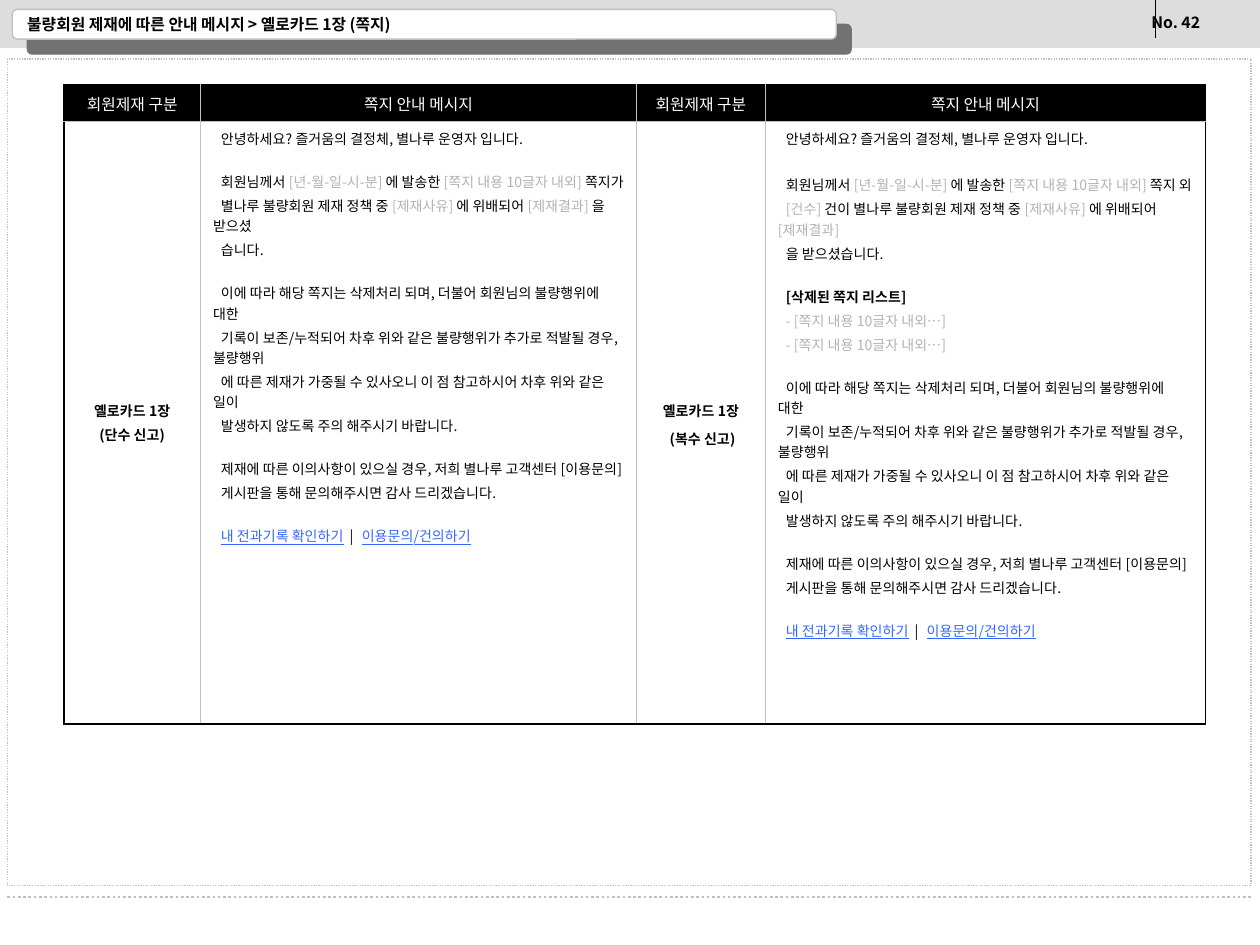
"""Build the slide of message texts sent to members who receive one yellow card."""
from lxml import etree
from pptx import Presentation, util as u
from pptx.dml.color import RGBColor
from pptx.enum import dml, shapes, text
from pptx.oxml import ns

THEME = {
    "font": "Noto Sans CJK KR",
    "sizes": {"heading": 9, "body": 8},
    "colors": {"black": "000000", "white": "FFFFFF", "bar": "DDDDDD", "rule": "C0C0C0",
               "shadow": "727272", "slot": "B2B2B2", "link": "3366FF"},
    "spans": {
        "heading": {"size": "heading", "color": "black", "bold": True},
        "column": {"size": "heading", "color": "white", "bold": False},
        "label": {"size": "body", "color": "black", "bold": True},
        "plain": {"size": "body", "color": "black", "bold": False},
        "slot": {"size": "body", "color": "slot", "bold": False},
        "link": {"size": "body", "color": "link", "bold": False, "underline": True},
        "divider": {"size": "body", "color": "black", "bold": False, "spacing": 150},
    },
}
COLORS = THEME["colors"]

TITLE = "불량회원 제재에 따른 안내 메시지 > 옐로카드 1장 (쪽지)"
NUMBER = "No. 42"
COLUMNS = [("회원제재 구분", 2.75), ("쪽지 안내 메시지", 8.79),
           ("회원제재 구분", 2.6), ("쪽지 안내 메시지", 8.87)]
ROW_HEIGHTS = (0.73, 12.14)

GREETING = ["안녕하세요? 즐거움의 결정체, 별나루 운영자 입니다."]
SENT = ["회원님께서 ", ("[년-월-일-시-분] ", "slot"), "에 발송한 ",
        ("[쪽지 내용 10글자 내외] ", "slot")]
POLICY = "별나루 불량회원 제재 정책 중 "
REASON = [("[제재사유] ", "slot"), "에 위배되어 "]
LISTED = [("- [쪽지 내용 10글자 내외…]", "slot")]
CLOSING = [
    [["이에 따라 해당 쪽지는 삭제처리 되며, 더불어 회원님의 불량행위에 대한"],
     ["기록이 보존/누적되어 차후 위와 같은 불량행위가 추가로 적발될 경우, 불량행위"],
     ["에 따른 제재가 가중될 수 있사오니 이 점 참고하시어 차후 위와 같은 일이"],
     ["발생하지 않도록 주의 해주시기 바랍니다."]],
    [["제재에 따른 이의사항이 있으실 경우, 저희 별나루 고객센터 [이용문의]"],
     ["게시판을 통해 문의해주시면 감사 드리겠습니다."]],
    [[("내 전과기록 확인하기", "link"), (" | ", "divider"), ("이용문의/건의하기", "link")]],
]
SINGLE = [
    [GREETING],
    [SENT + ["쪽지가"],
     [POLICY, *REASON, ("[제재결과] ", "slot"), "을 받으셨"],
     ["습니다."]],
    *CLOSING,
]
MULTIPLE = [
    [GREETING],
    [SENT + ["쪽지 외"],
     [("[건수] ", "slot"), "건이 " + POLICY, *REASON, ("[제재결과]", "slot")],
     ["을 받으셨습니다."]],
    [[("[삭제된 쪽지 리스트]", "label")], LISTED, LISTED],
    *CLOSING,
]
CASES = [(["옐로카드 1장", "(단수 신고)"], 1.0, SINGLE, 13),
         (["옐로카드 1장", " (복수 신고)"], 1.2, MULTIPLE, 15)]

CENTERED = {"alignment": text.PP_ALIGN.CENTER}
MIDDLE = text.MSO_ANCHOR.MIDDLE


def assign(target, values):
    for name, value in values.items():
        setattr(target, name, value)


def color(name):
    return RGBColor.from_string(COLORS[name])


def add_xml(parent, tag, **attributes):
    return etree.SubElement(parent, ns.qn(tag), attributes)


def add_color(parent, name):
    add_xml(parent, "a:srgbClr", val=COLORS[name])


def write(para, spans, default, values=None):
    assign(para, values or {})
    for item in spans:
        words, style = (item, default) if isinstance(item, str) else item
        look = THEME["spans"][style]
        span = para.add_run()
        span.text = words
        assign(span.font, {"name": THEME["font"], "bold": look["bold"],
                           "size": u.Pt(THEME["sizes"][look["size"]]),
                           "underline": look.get("underline", False)})
        span.font.color.rgb = color(look["color"])
        properties = span._r.get_or_add_rPr()
        add_xml(properties, "a:ea", typeface=THEME["font"])
        if "spacing" in look:
            properties.set("spc", str(look["spacing"]))


def next_para(frame, index):
    return frame.add_paragraph() if index else frame.paragraphs[0]


def style_line(line, width, dash=None):
    line.color.rgb = color("rule")
    assign(line, {"width": u.Pt(width), "dash_style": dash})


def add_box(page, kind, place, fill, dash=None, outlined=True):
    box = page.shapes.add_shape(kind, *map(u.Cm, place))
    box.shadow.inherit = False
    box.fill.solid()
    box.fill.fore_color.rgb = color(fill)
    if outlined:
        style_line(box.line, 0.75, dash)
    else:
        box.line.fill.background()
    return box


def add_line(page, start, end, width, shade, dash=None):
    line = page.shapes.add_connector(shapes.MSO_CONNECTOR.STRAIGHT, *map(u.Cm, start + end))
    style_line(line.line, width, dash)
    line.line.color.rgb = color(shade)
    add_xml(line._element.spPr, "a:effectLst")


def add_text(page, place, words, values):
    box = page.shapes.add_textbox(*map(u.Cm, place))
    assign(box.text_frame, values)
    write(box.text_frame.paragraphs[0], [words], "heading")


def add_frame(page):
    rect, dots = shapes.MSO_SHAPE.RECTANGLE, dml.MSO_LINE.ROUND_DOT
    add_box(page, rect, (0, 0, 25.4, 0.97), "bar", outlined=False)
    add_line(page, (23.29, 0), (23.29, 0.76), 0.75, "black")
    add_text(page, (22.96, 0.13, 2.74, 0.71), NUMBER, {"word_wrap": False})
    plate = add_box(page, shapes.MSO_SHAPE.ROUNDED_RECTANGLE, (0.25, 0.19, 16.61, 0.6), "white")
    effects = plate._element.spPr.find(ns.qn("a:effectLst"))
    shadow = add_xml(effects, "a:outerShdw", dist=str(u.Pt(12.1)), dir="2700000",
                     algn="ctr", rotWithShape="0")
    add_color(shadow, "shadow")
    add_line(page, (0.15, 18.08), (25.25, 18.08), 1.5, "rule", dots)
    add_text(page, (0.3, 0.25, 13.77, 0.46), TITLE,
             {"word_wrap": True, "vertical_anchor": MIDDLE})
    add_box(page, rect, (0.15, 1.19, 25.07, 16.66), "white", dots)


def add_borders(cell, row, column):
    outer = {"L": column == 0, "R": column == len(COLUMNS) - 1, "T": row == 0, "B": row == 1}
    properties = cell._tc.get_or_add_tcPr()
    for side, edge in outer.items():
        line = add_xml(properties, f"a:ln{side}", w=str(u.Pt(1.08 if edge else 0.45)))
        add_color(add_xml(line, "a:solidFill"), "black" if edge else "rule")


def fill_label(cell, lines, spacing):
    cell.vertical_anchor = MIDDLE
    for index, words in enumerate(lines):
        write(next_para(cell.text_frame, index), [words], "label",
              {**CENTERED, "space_before": u.Pt(2), "line_spacing": spacing})


def fill_message(cell, groups, first_gap):
    cell.vertical_anchor = text.MSO_ANCHOR.TOP
    index = 0
    for group_index, group in enumerate(groups):
        for line_index, spans in enumerate(group):
            gap = 2 if line_index else (0, first_gap, 13)[min(group_index, 2)]
            para = next_para(cell.text_frame, index)
            write(para, spans, "plain", {"space_before": u.Pt(gap)})
            para._p.get_or_add_pPr().set("indent", str(u.Cm(0.16)))
            index += 1


def add_messages(page):
    widths = [width for _, width in COLUMNS]
    place = (1.29, 1.72, sum(widths), sum(ROW_HEIGHTS))
    table = page.shapes.add_table(2, len(COLUMNS), *map(u.Cm, place)).table
    assign(table, {"first_row": False, "horz_banding": False})
    for row, height in zip(table.rows, ROW_HEIGHTS):
        row.height = u.Cm(height)
    for index, (heading, width) in enumerate(COLUMNS):
        table.columns[index].width = u.Cm(width)
        head, body = (table.cell(row, index) for row in range(2))
        add_borders(head, 0, index)
        add_borders(body, 1, index)
        head.fill.solid()
        head.fill.fore_color.rgb = color("black")
        body.fill.background()
        head.vertical_anchor = MIDDLE
        write(head.text_frame.paragraphs[0], [heading], "column",
              {**CENTERED, "space_before": u.Pt(2.2)})
    for index, (label, spacing, message, first_gap) in enumerate(CASES):
        fill_label(table.cell(1, index * 2), label, spacing)
        fill_message(table.cell(1, index * 2 + 1), message, first_gap)


def main():
    deck = Presentation()
    assign(deck, {"slide_width": u.Cm(25.4), "slide_height": u.Cm(19.05)})
    page = deck.slides.add_slide(deck.slide_layouts[6])
    add_frame(page)
    add_messages(page)
    deck.save("out.pptx")


if __name__ == "__main__":
    main()
